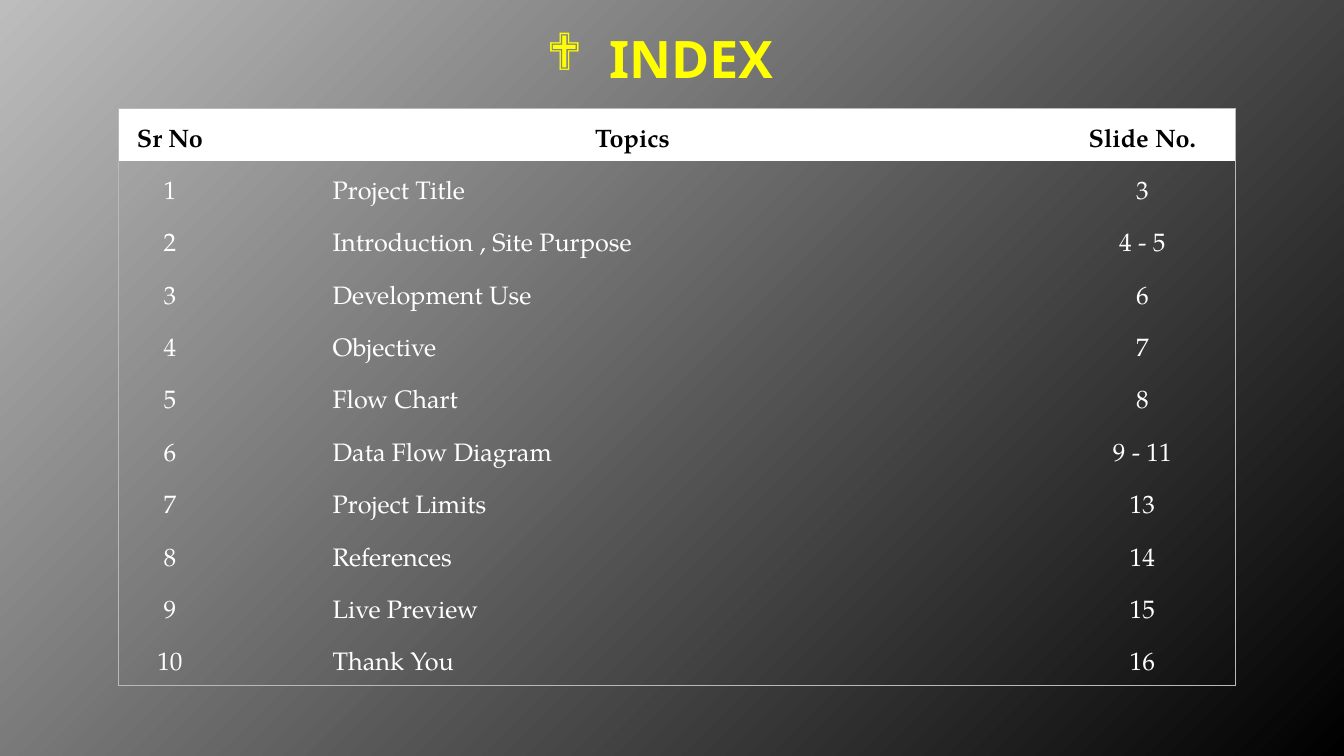
from lxml import etree
from pptx import Presentation
from pptx.dml.color import RGBColor
from pptx.enum.text import MSO_ANCHOR, PP_ALIGN
from pptx.oxml.ns import qn
from pptx.util import Inches, Pt

CENTER, LEFT = PP_ALIGN.CENTER, PP_ALIGN.LEFT
MIDDLE = MSO_ANCHOR.MIDDLE
TITLE_ONLY = 5

HEADINGS = ("Sr No", "Topics ", "Slide No.")
TOPICS = (
    ("Project Title", "3"),
    ("Introduction , Site Purpose", "4 - 5"),
    ("Development Use", "6"),
    ("Objective", "7"),
    ("Flow Chart", "8"),
    ("Data Flow Diagram", "9 - 11"),
    ("Project Limits", "13"),
    ("References", "14"),
    ("Live Preview", "15"),
    ("Thank You", "16"),
)
COLUMN_WIDTHS = (1.03, 8.21, 1.84)
TOPIC_COLUMN = 1
ROW_HEIGHT = 0.52
BORDER_COLOR = "B9B9B9"
TITLE_FORMAT = {"name": "Noto Sans", "size": Pt(36.9), "bold": True}
HEADING_FORMAT = {"name": "TeX Gyre Pagella", "size": Pt(18), "bold": True}
ENTRY_FORMAT = {**HEADING_FORMAT, "bold": False}


def rgb(hex_color):
    """Return the colour for a hex string."""
    return RGBColor.from_string(hex_color)


def add_child(parent, tag, **attributes):
    """Append a drawing element with the given attributes."""
    child = etree.SubElement(parent, qn(tag))
    for key, value in attributes.items():
        child.set(key, str(value))
    return child


def write_text(paragraph, text, font_format, color, align):
    """Write one formatted run into a paragraph."""
    paragraph.alignment = align
    run = paragraph.add_run()
    run.text = text
    for key, value in font_format.items():
        setattr(run.font, key, value)
    run.font.color.rgb = rgb(color)


def set_indent(paragraph, margin, first_line):
    """Set the left margin and first line indent of a paragraph."""
    properties = paragraph._p.get_or_add_pPr()
    properties.set("marL", str(Inches(margin)))
    properties.set("indent", str(Inches(first_line)))
    return properties


def paint_background(slide):
    """Fill the background with a gradient from the top left corner."""
    fill = slide.background.fill
    fill.gradient()
    for stop, color in zip(fill.gradient_stops, ("BDBDBD", "000000")):
        stop.color.rgb = rgb(color)
    gradient = slide.background._cSld.find(".//" + qn("a:gradFill"))
    gradient.remove(gradient.find(qn("a:lin")))
    focus = add_child(gradient, "a:path", path="circle")
    add_child(focus, "a:fillToRect", r=100000, b=100000)
    add_child(gradient, "a:tileRect", l=-100000, t=-100000)


def add_title(slide):
    """Place and format the bulleted slide title."""
    title = slide.shapes.title
    title.left, title.top = Inches(1.17), Inches(0.19)
    title.width, title.height = Inches(11), Inches(0.77)
    title.text_frame.vertical_anchor = MIDDLE
    heading = title.text_frame.paragraphs[0]
    write_text(heading, "INDEX\t", TITLE_FORMAT, "FFFF00", CENTER)
    properties = set_indent(heading, 0.62, -0.62)
    add_child(properties, "a:buFont", typeface="Wingdings")
    add_child(properties, "a:buChar", char="❖")


def set_borders(cell, sides):
    """Draw the cell borders whose side is marked true."""
    properties = cell._tc.get_or_add_tcPr()
    for tag, visible in sides.items():
        line = add_child(properties, tag, w=Pt(0.75))
        if visible:
            add_child(add_child(line, "a:solidFill"), "a:srgbClr", val=BORDER_COLOR)
        else:
            add_child(line, "a:noFill")


def fill_cell(cell, text, is_heading, is_topic):
    """Fill a cell and write its text."""
    cell.vertical_anchor = MIDDLE
    entry = cell.text_frame.paragraphs[0]
    entry.line_spacing = 1.5
    if is_heading:
        cell.fill.solid()
        cell.fill.fore_color.rgb = rgb("FFFFFF")
        write_text(entry, text, HEADING_FORMAT, "000000", CENTER)
        return
    cell.fill.background()
    write_text(entry, text, ENTRY_FORMAT, "FFFFFF", LEFT if is_topic else CENTER)
    if is_topic:
        entry.level = 2
        set_indent(entry, 1, 0)


def add_index_table(slide):
    """Add the table of topics and slide numbers."""
    entries = [HEADINGS]
    entries += [(str(number), *topic) for number, topic in enumerate(TOPICS, 1)]
    last_row, last_column = len(entries) - 1, len(HEADINGS) - 1
    index = slide.shapes.add_table(
        len(entries), len(HEADINGS), Inches(1.17), Inches(1.08),
        Inches(sum(COLUMN_WIDTHS)), Inches(ROW_HEIGHT * len(entries))).table
    index.first_row = index.horz_banding = False
    for column, width in zip(index.columns, COLUMN_WIDTHS):
        column.width = Inches(width)
    for row, texts in enumerate(entries):
        index.rows[row].height = Inches(ROW_HEIGHT)
        for column, text in enumerate(texts):
            cell = index.cell(row, column)
            set_borders(cell, {
                "a:lnL": column == 0, "a:lnR": column == last_column,
                "a:lnT": row == 0, "a:lnB": row == last_row})
            fill_cell(cell, text, row == 0, column == TOPIC_COLUMN)


def main():
    """Build the index slide and save it."""
    deck = Presentation()
    deck.slide_width, deck.slide_height = Inches(13.33), Inches(7.5)
    slide = deck.slides.add_slide(deck.slide_layouts[TITLE_ONLY])
    paint_background(slide)
    add_title(slide)
    add_index_table(slide)
    deck.save("out.pptx")


if __name__ == "__main__":
    main()
